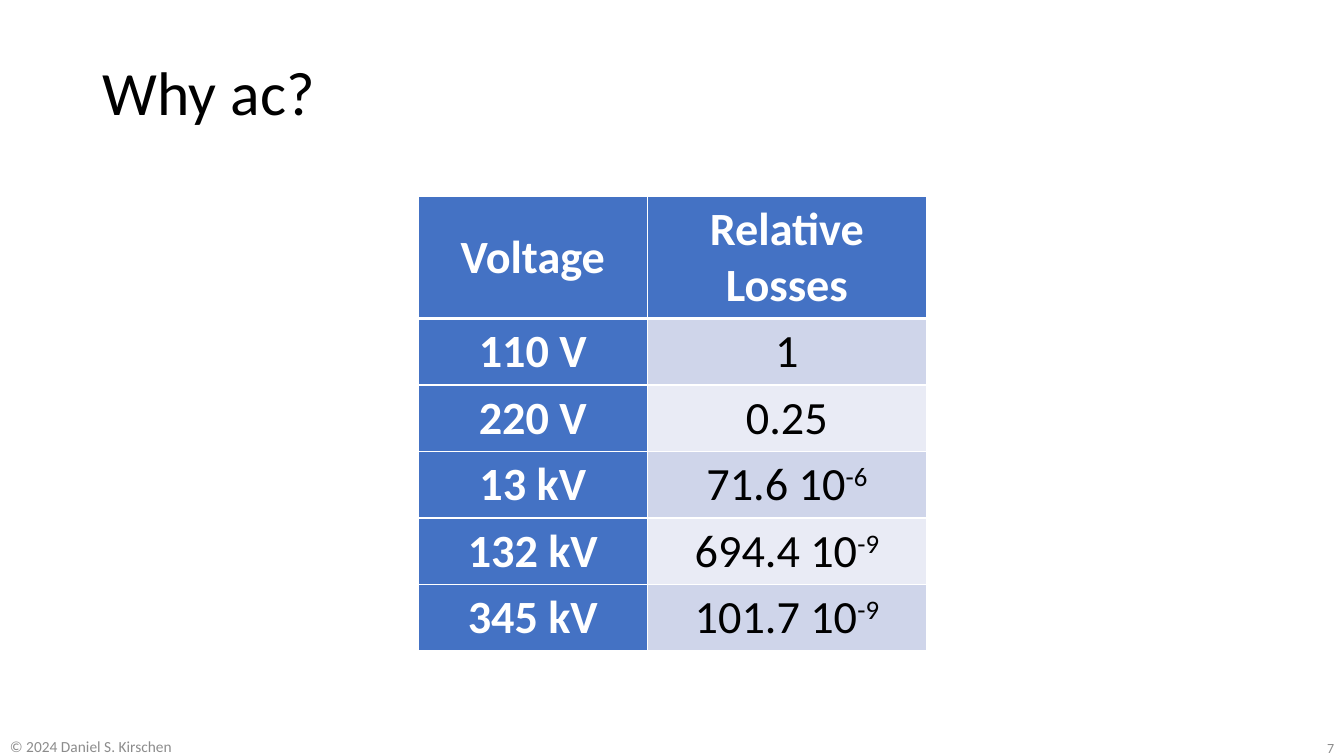
from dataclasses import dataclass

from lxml.etree import SubElement
from pptx import Presentation
from pptx.dml.color import RGBColor
from pptx.enum.text import MSO_ANCHOR as Anchor, PP_ALIGN as Align
from pptx.oxml.ns import qn
from pptx.util import Inches, Pt


@dataclass(frozen=True)
class Theme:
    font: str = "Calibri"
    black: str = "000000"
    white: str = "FFFFFF"
    gray: str = "8C8C8C"
    accent: str = "4472C4"
    bands: tuple[str, str] = ("CFD5EA", "E9EBF5")
    title_size: float = 44
    table_size: float = 33
    footer_size: float = 11
    number_size: float = 10


@dataclass(frozen=True)
class Loss:
    voltage: str
    value: str
    exponent: str = ""


@dataclass(frozen=True)
class Footer:
    text: str
    left: float
    top: float
    width: float
    height: float
    size: float
    align: Align


THEME = Theme()
LOSSES = [
    Loss("110 V", "1"),
    Loss("220 V", "0.25"),
    Loss("13 kV", "71.6 10", "-6"),
    Loss("132 kV", "694.4 10", "-9"),
    Loss("345 kV", "101.7 10", "-9"),
]
FOOTERS = [
    Footer("© 2024 Daniel S. Kirschen", 0, 7.2, 3.23, 0.4, THEME.footer_size, Align.LEFT),
    Footer("7", 10.33, 7.26, 3, 0.31, THEME.number_size, Align.RIGHT),
]


def add_span(para, text: str, size: float, color: str, bold: bool = False):
    span = para.add_run()
    span.text = text
    span.font.name = THEME.font
    span.font.size = Pt(size)
    span.font.bold = bold
    span.font.color.rgb = RGBColor.from_string(color)
    return span


def add_title(page, text: str) -> None:
    title = page.shapes.title
    title.left, title.top = Inches(0.92), Inches(0.4)
    title.width, title.height = Inches(11.5), Inches(1.1)
    title.text_frame.vertical_anchor = Anchor.MIDDLE
    para = title.text_frame.paragraphs[0]
    para.alignment = Align.LEFT
    para.line_spacing = 0.9
    add_span(para, text, THEME.title_size, THEME.black)


def add_footer(page, footer: Footer) -> None:
    box = page.shapes.add_textbox(Inches(footer.left), Inches(footer.top),
                                  Inches(footer.width), Inches(footer.height))
    box.text_frame.word_wrap = True
    box.text_frame.vertical_anchor = Anchor.MIDDLE
    para = box.text_frame.paragraphs[0]
    para.alignment = footer.align
    para.space_after = Pt(6)
    add_span(para, footer.text, footer.size, THEME.gray)


def set_borders(cell, bottom: float, top: float) -> None:
    """Draw white cell borders, with widths in points."""
    properties = cell._tc.get_or_add_tcPr()
    widths = {"a:lnL": 1, "a:lnR": 1, "a:lnT": top, "a:lnB": bottom}
    for index, (tag, width) in enumerate(widths.items()):
        line = SubElement(properties, qn(tag), w=str(Pt(width)))
        fill = SubElement(line, qn("a:solidFill"))
        SubElement(fill, qn("a:srgbClr"), val=THEME.white)
        properties.insert(index, line)


def fill_cell(cell, text: str, fill: str, exponent: str = "", strong: bool = True) -> None:
    cell.fill.solid()
    cell.fill.fore_color.rgb = RGBColor.from_string(fill)
    cell.vertical_anchor = Anchor.MIDDLE
    cell.margin_left = cell.margin_right = Inches(0.21)
    cell.margin_top = cell.margin_bottom = 0
    para = cell.text_frame.paragraphs[0]
    para.alignment = Align.CENTER
    para.space_after = Pt(6)
    color = THEME.white if strong else THEME.black
    add_span(para, text, THEME.table_size, color, strong)
    if exponent:
        span = add_span(para, exponent, THEME.table_size, color, strong)
        span.font._element.set("baseline", "30000")


def add_loss_table(page) -> None:
    table = page.shapes.add_table(len(LOSSES) + 1, 2, Inches(4.15), Inches(1.95),
                                  Inches(5.04), Inches(4.51)).table
    for column, width in zip(table.columns, (2.27, 2.77)):
        column.width = Inches(width)
    for index, row in enumerate(table.rows):
        row.height = Inches(0.66 if index else 1.21)
        for cell in row.cells:
            set_borders(cell, bottom=1 if index else 3, top=3 if index == 1 else 1)
    for column, heading in enumerate(("Voltage", "Relative Losses")):
        fill_cell(table.cell(0, column), heading, THEME.accent)
    for index, loss in enumerate(LOSSES):
        fill_cell(table.cell(index + 1, 0), loss.voltage, THEME.accent)
        fill_cell(table.cell(index + 1, 1), loss.value, THEME.bands[index % 2],
                  loss.exponent, strong=False)


def main() -> None:
    deck = Presentation()
    deck.slide_width, deck.slide_height = Inches(13.33), Inches(7.5)
    page = deck.slides.add_slide(deck.slide_layouts.get_by_name("Title Only"))
    add_title(page, "Why ac?")
    for footer in FOOTERS:
        add_footer(page, footer)
    add_loss_table(page)
    deck.save("out.pptx")


if __name__ == "__main__":
    main()
